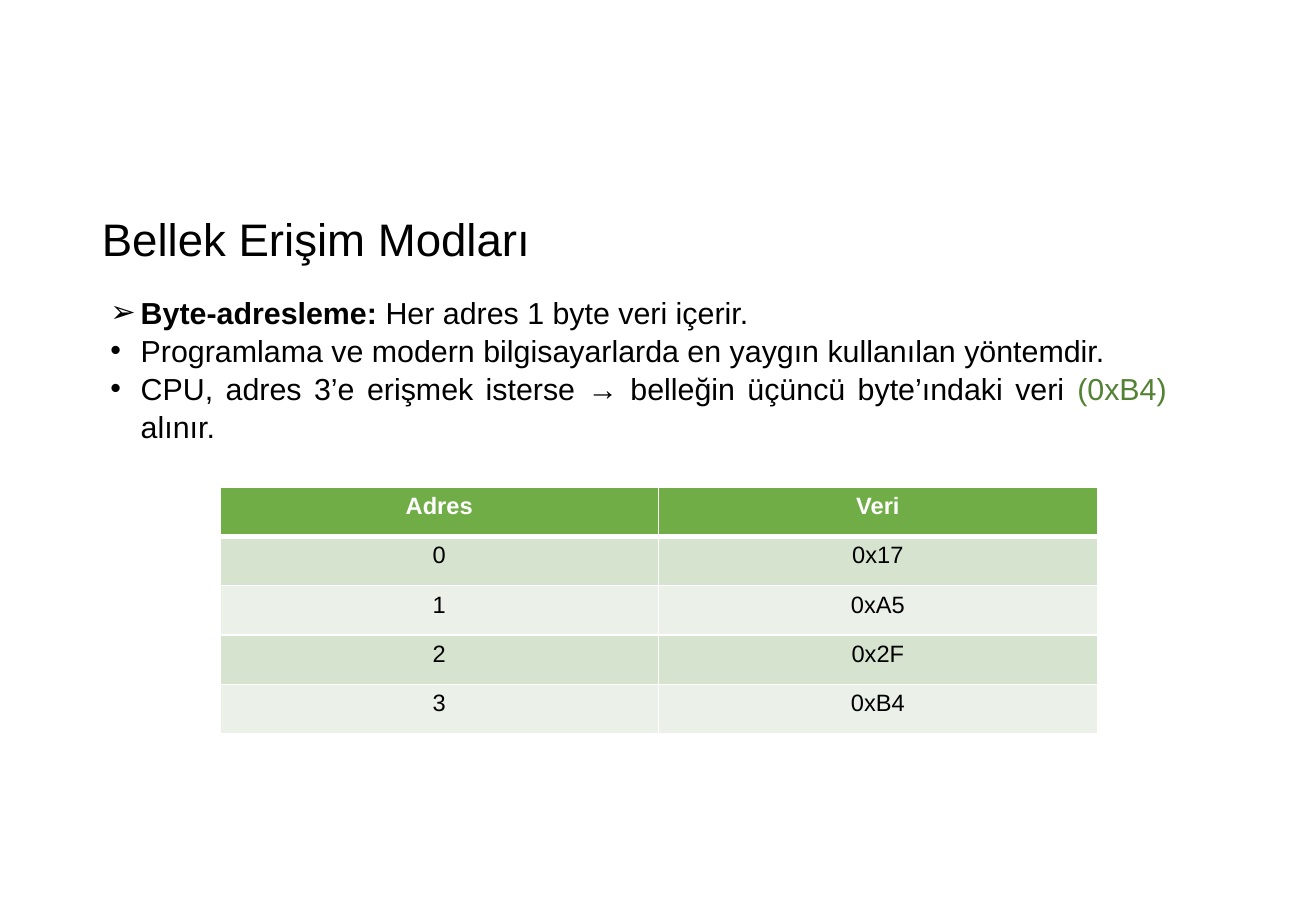
from lxml import etree
from pptx import Presentation
from pptx import util as u
from pptx.dml.color import RGBColor
from pptx.enum import text
from pptx.oxml import ns

COLORS = {
    "black": "000000",
    "white": "FFFFFF",
    "value": "548235",
    "header": "70AD47",
    "band_dark": "D5E3CF",
    "band_light": "EBF1E9",
}
MEMORY = [("Adres", "Veri"), ("0", "0x17"), ("1", "0xA5"), ("2", "0x2F"), ("3", "0xB4")]
POINTS = [
    ("➢", [("Byte-adresleme:", {"bold": True}), (" Her adres 1 byte veri içerir.", {})]),
    ("•", [("Programlama ve modern bilgisayarlarda en yaygın kullanılan yöntemdir.", {})]),
    ("•", [("CPU, adres 3’e erişmek isterse → belleğin üçüncü byte’ındaki veri ", {}),
           ("(0xB4) ", {"color": "value"}),
           ("alınır.", {})]),
]


def rgb(name):
    return RGBColor.from_string(COLORS[name])


def add_run(paragraph, content, size=18, color="black", bold=False):
    run = paragraph.add_run()
    run.text = content
    run.font.name = "Arial"
    run.font.size = u.Pt(size)
    run.font.bold = bold
    run.font.color.rgb = rgb(color)


def add_text_frame(slide, left, top, width, height, anchor):
    box = slide.shapes.add_textbox(*map(u.Inches, (left, top, width, height)))
    frame = box.text_frame
    frame.word_wrap = True
    frame.vertical_anchor = anchor
    return frame


def set_bullet(paragraph, character):
    """Give the paragraph a hanging bullet."""
    properties = paragraph._p.get_or_add_pPr()
    properties.set("marL", str(u.Inches(0.25)))
    properties.set("indent", str(u.Inches(-0.25)))
    etree.SubElement(properties, ns.qn("a:buFont"), typeface="Arial")
    etree.SubElement(properties, ns.qn("a:buChar"), char=character)


def add_title(slide):
    frame = add_text_frame(slide, 0.74, 1.66, 9.34, 0.66, text.MSO_ANCHOR.MIDDLE)
    paragraph = frame.paragraphs[0]
    paragraph.line_spacing = 0.9
    add_run(paragraph, "Bellek Erişim Modları", size=27)


def add_points(slide):
    frame = add_text_frame(slide, 0.81, 2.36, 8.89, 1.62, text.MSO_ANCHOR.TOP)
    for index, (bullet, runs) in enumerate(POINTS):
        paragraph = frame.add_paragraph() if index else frame.paragraphs[0]
        set_bullet(paragraph, bullet)
        paragraph.alignment = text.PP_ALIGN.JUSTIFY
        paragraph.line_spacing = 1.04
        for content, style in runs:
            add_run(paragraph, content, **style)


def set_borders(cell, top=1, bottom=1):
    """Draw white borders; top and bottom widths are in points."""
    properties = cell._tc.get_or_add_tcPr()
    for side, width in (("L", 1), ("R", 1), ("T", top), ("B", bottom)):
        line = etree.SubElement(properties, ns.qn(f"a:ln{side}"), w=str(u.Pt(width)))
        fill = etree.SubElement(line, ns.qn("a:solidFill"))
        etree.SubElement(fill, ns.qn("a:srgbClr"), val=COLORS["white"])


def add_memory_table(slide):
    frame = slide.shapes.add_table(
        len(MEMORY), 2, u.Inches(1.81), u.Inches(4.01), u.Inches(7.22), u.Inches(2.03))
    for row, values in enumerate(MEMORY):
        header = row == 0
        band = "header" if header else ("band_light", "band_dark")[row % 2]
        for column, value in enumerate(values):
            cell = frame.table.cell(row, column)
            set_borders(cell, top=3 if row == 1 else 1, bottom=3 if header else 1)
            cell.fill.solid()
            cell.fill.fore_color.rgb = rgb(band)
            paragraph = cell.text_frame.paragraphs[0]
            paragraph.alignment = text.PP_ALIGN.CENTER
            add_run(paragraph, value, size=14, bold=header,
                    color="white" if header else "black")


def main():
    presentation = Presentation()
    presentation.slide_width = u.Inches(10.83)
    presentation.slide_height = u.Inches(7.5)
    slide = presentation.slides.add_slide(presentation.slide_layouts[6])
    add_title(slide)
    add_points(slide)
    add_memory_table(slide)
    presentation.save("out.pptx")


if __name__ == "__main__":
    main()
